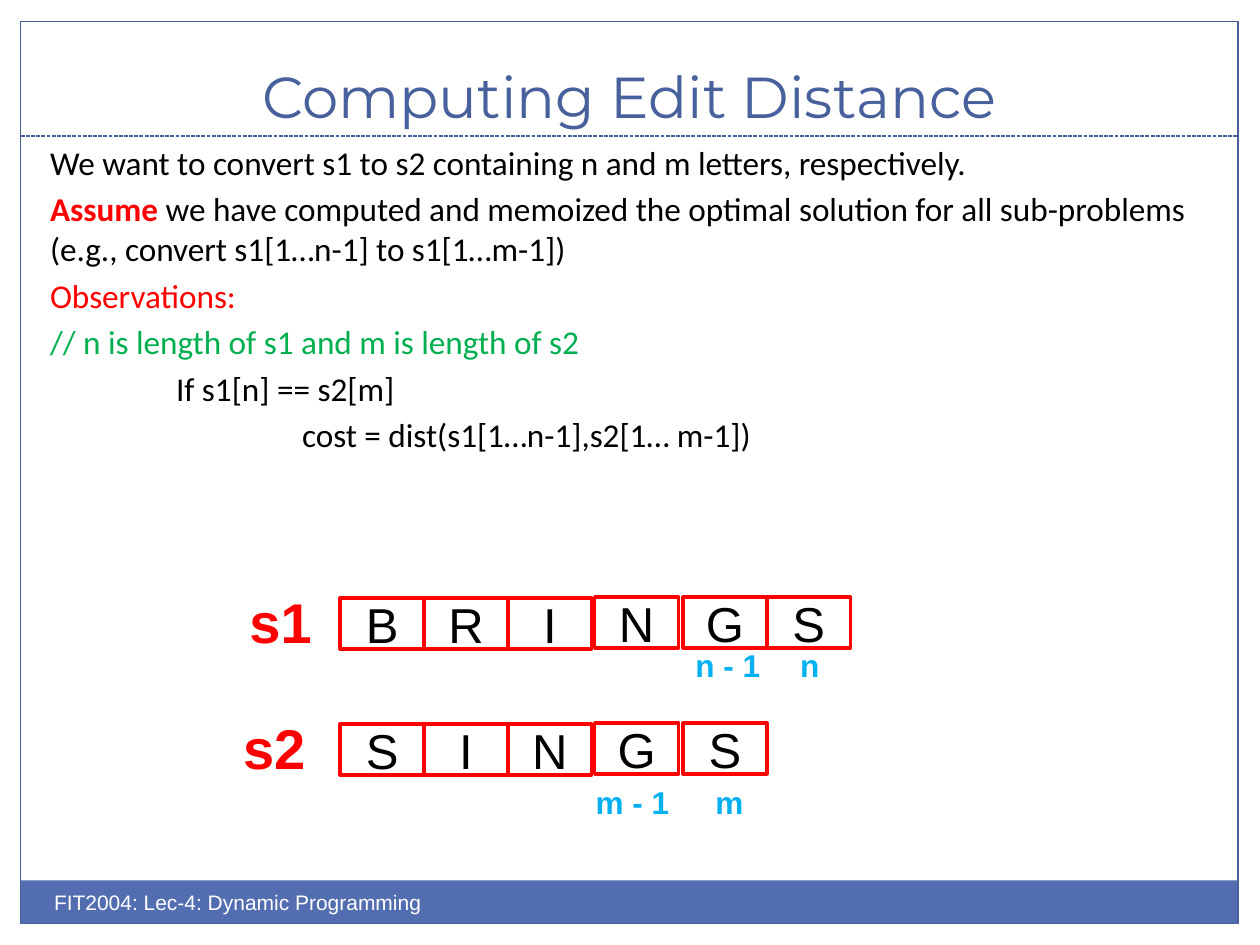
from dataclasses import dataclass

from lxml.etree import SubElement
from pptx import Presentation
from pptx.dml.color import RGBColor
from pptx.enum.dml import MSO_LINE
from pptx.enum.shapes import MSO_CONNECTOR, MSO_SHAPE
from pptx.enum.text import MSO_ANCHOR, PP_ALIGN
from pptx.oxml.ns import qn
from pptx.util import Cm, Pt


@dataclass(frozen=True)
class Theme:
    frame: str = "48609B"
    bar: str = "526DB0"
    ink: str = "000000"
    red: str = "FF0000"
    green: str = "00B050"
    blue: str = "00B0F0"
    white: str = "FFFFFF"
    title_font: str = "Montserrat"
    body_font: str = "Calibri"
    font: str = "Arial"
    title: float = 33
    name: float = 32
    letter: float = 28
    body: float = 19
    index: float = 18
    footer: float = 12


@dataclass(frozen=True)
class Label:
    text: str
    left: float
    top: float
    width: float
    height: float
    size: float
    color: str
    font: str = "Arial"
    bold: bool = False
    wrap: bool = False
    align: PP_ALIGN = PP_ALIGN.LEFT
    anchor: MSO_ANCHOR = MSO_ANCHOR.TOP


@dataclass(frozen=True)
class Line:
    runs: tuple[tuple[str, str, bool], ...]
    indent: float = 0


@dataclass(frozen=True)
class Cells:
    letters: str
    left: float
    top: float


THEME = Theme()
CELL_W, CELL_H = 1.69, 1.02
ROW_GAP = 2.54
TAB = 2.54

LINES = (
    Line((("We want to convert s1 to s2 containing n and m letters, respectively.", THEME.ink, False),)),
    Line((
        ("Assume ", THEME.red, True),
        ("we have computed and memoized the optimal solution for all sub-problems "
         "(e.g., convert s1[1…n-1] to s1[1…m-1])", THEME.ink, False),
    )),
    Line((("Observations:", THEME.red, False),)),
    Line((("// n is length of s1 and m is length of s2", THEME.green, False),)),
    Line((("If s1[n] == s2[m]", THEME.ink, False),), TAB),
    Line((("cost = dist(s1[1…n-1],s2[1… m-1])", THEME.ink, False),), 2 * TAB),
)

WORDS = (("BRI", "N", "GS"), ("SIN", "G", "S"))
GROUP_STARTS = ((6.86, 12.06), (11.99, 12.04), (13.77, 12.04))

LABELS = (
    Label("Computing Edit Distance", 0.84, 0.64, 23.7, 2.1, THEME.title, THEME.frame, THEME.title_font,
          wrap=True, align=PP_ALIGN.CENTER, anchor=MSO_ANCHOR.BOTTOM),
    Label("s1", 4.78, 11.71, 1.78, 1.63, THEME.name, THEME.red, bold=True),
    Label("s2", 4.65, 14.25, 1.78, 1.63, THEME.name, THEME.red, bold=True),
    Label("n - 1", 13.77, 12.9, 1.83, 1.02, THEME.index, THEME.blue, bold=True),
    Label("n", 15.88, 12.9, 0.91, 1.02, THEME.index, THEME.blue, bold=True),
    Label("m - 1", 11.76, 15.67, 2.01, 1.02, THEME.index, THEME.blue, bold=True),
    Label("m", 14.17, 15.67, 1.09, 1.02, THEME.index, THEME.blue, bold=True),
    Label("FIT2004: Lec-4: Dynamic Programming", 0.84, 17.81, 12.7, 1.02, THEME.footer, THEME.white, wrap=True),
)


def rgb(color: str) -> RGBColor:
    return RGBColor.from_string(color)


def add_rect(s, left: float, top: float, width: float, height: float,
             fill: str = "", line: str = "", weight: float = 0.75):
    sp = s.shapes.add_shape(MSO_SHAPE.RECTANGLE, Cm(left), Cm(top), Cm(width), Cm(height))
    sp.shadow.inherit = False
    if fill:
        sp.fill.solid()
        sp.fill.fore_color.rgb = rgb(fill)
    else:
        sp.fill.background()
    if line:
        sp.line.color.rgb = rgb(line)
        sp.line.width = Pt(weight)
    else:
        sp.line.fill.background()
    return sp


def add_rule(s, left: float, right: float, y: float) -> None:
    cn = s.shapes.add_connector(MSO_CONNECTOR.STRAIGHT, Cm(left), Cm(y), Cm(right), Cm(y))
    cn.line.color.rgb = rgb(THEME.frame)
    cn.line.width = Pt(0.75)
    cn.line.dash_style = MSO_LINE.SQUARE_DOT
    SubElement(cn._element.spPr, qn("a:effectLst"))


def style(p, size: float, color: str, font: str, bold: bool = False) -> None:
    p.font.size = Pt(size)
    p.font.name = font
    p.font.bold = bold
    p.font.color.rgb = rgb(color)


def add_label(s, label: Label) -> None:
    sp = s.shapes.add_textbox(Cm(label.left), Cm(label.top), Cm(label.width), Cm(label.height))
    tf = sp.text_frame
    tf.word_wrap = label.wrap
    tf.vertical_anchor = label.anchor
    p = tf.paragraphs[0]
    p.text = label.text
    p.alignment = label.align
    style(p, label.size, label.color, label.font, label.bold)


def add_body(s, lines: tuple[Line, ...]) -> None:
    tf = s.shapes.add_textbox(Cm(0.76), Cm(2.74), Cm(23.72), Cm(8.97)).text_frame
    tf.word_wrap = True
    for i, line in enumerate(lines):
        p = tf.add_paragraph() if i else tf.paragraphs[0]
        p.space_before = Pt(0.2 * THEME.body)
        p.font.size = Pt(THEME.body)
        p.font.name = THEME.body_font
        p._p.get_or_add_pPr().set("marL", str(Cm(line.indent)))
        for text, color, bold in line.runs:
            r = p.add_run()
            r.text = text
            r.font.bold = bold
            r.font.color.rgb = rgb(color)


def add_cells(s, cells: Cells) -> None:
    for i, letter in enumerate(cells.letters):
        sp = add_rect(s, cells.left + i * CELL_W, cells.top, CELL_W, CELL_H, line=THEME.red, weight=2)
        tf = sp.text_frame
        tf.vertical_anchor = MSO_ANCHOR.MIDDLE
        p = tf.paragraphs[0]
        p.text = letter
        p.alignment = PP_ALIGN.CENTER
        style(p, THEME.letter, THEME.ink, THEME.font)


def main() -> None:
    prs = Presentation()
    prs.slide_width, prs.slide_height = Cm(25.4), Cm(19.05)
    s = prs.slides.add_slide(prs.slide_layouts[6])
    add_rect(s, 0.42, 17.75, 24.54, 0.87, fill=THEME.bar)
    add_rect(s, 0.42, 0.43, 24.54, 18.19, line=THEME.frame)
    add_rule(s, 0.42, 24.96, 2.74)
    add_body(s, LINES)
    for row, groups in enumerate(WORDS):
        for letters, (left, top) in zip(groups, GROUP_STARTS):
            add_cells(s, Cells(letters, left, top + row * ROW_GAP))
    for label in LABELS:
        add_label(s, label)
    prs.save("out.pptx")


if __name__ == "__main__":
    main()
